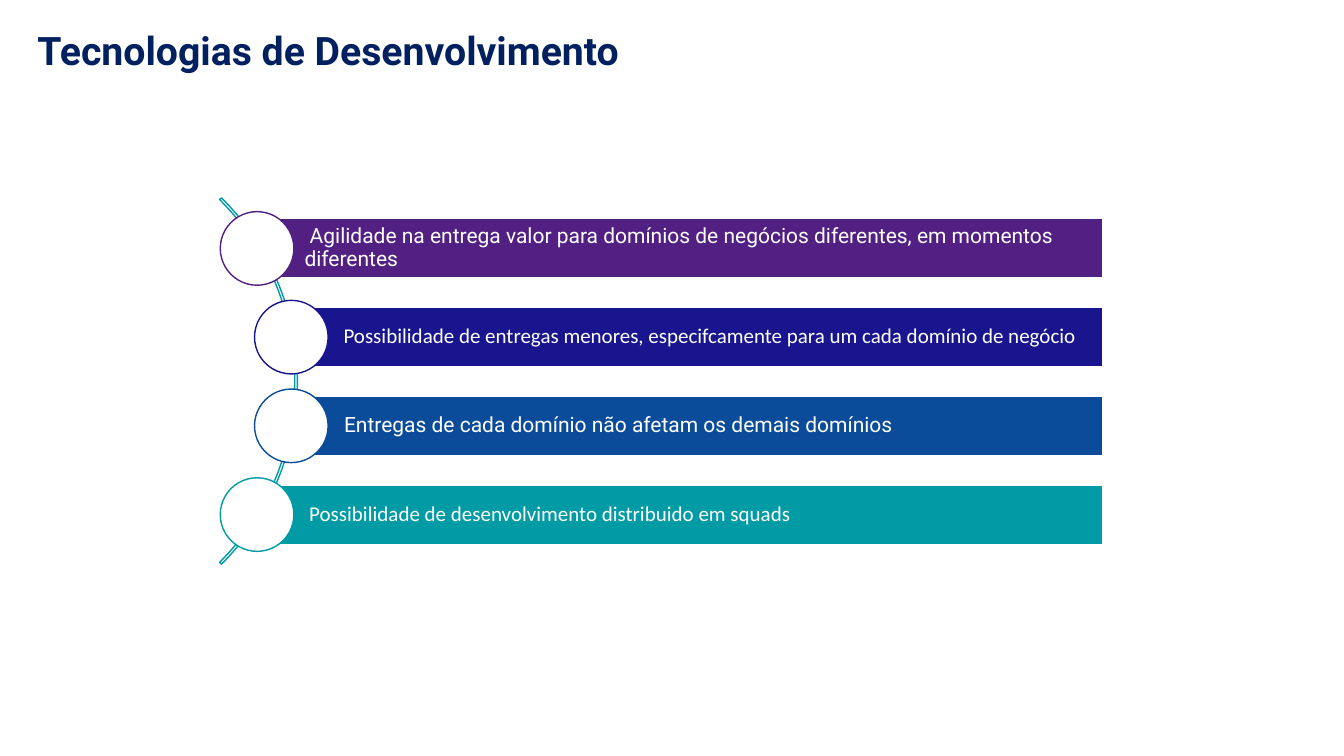
"""Builds a slide with a title and four benefits along an arc."""
from pptx import Presentation
from pptx.dml import color
from pptx.enum import shapes, text
from pptx.util import Inches, Pt

BENEFITS = [
    (" Agilidade na entrega valor para domínios de negócios diferentes, em momentos diferentes",
     "521F83", "Roboto", 0),
    (" Possibilidade de entregas menores, especifcamente para um cada domínio de negócio",
     "18158E", "Calibri", 0.34),
    (" Entregas de cada domínio não afetam os demais domínios",
     "0A4C99", "Roboto", 0.34),
    (" Possibilidade de desenvolvimento distribuido em squads",
     "009BA4", "Calibri", 0),
]


def rgb(value):
    """Return the colour for a hex string."""
    return color.RGBColor.from_string(value)


def add_span(para, wording, font, size, ink, bold=False):
    """Add one formatted run to a paragraph."""
    para.alignment = text.PP_ALIGN.LEFT
    para.line_spacing = 0.9
    span = para.add_run()
    span.text = wording
    span.font.name = font
    span.font.size = Pt(size)
    span.font.bold = bold
    span.font.color.rgb = rgb(ink)


def add_outlined(group, kind, left, top, width, height, fill, line):
    """Add a preset shape with a thin line and an optional fill."""
    shape = group.shapes.add_shape(
        kind, Inches(left), Inches(top), Inches(width), Inches(height))
    shape.shadow.inherit = False
    if fill:
        shape.fill.solid()
        shape.fill.fore_color.rgb = rgb(fill)
    else:
        shape.fill.background()
    shape.line.color.rgb = rgb(line)
    shape.line.width = Pt(1)
    return shape


def add_title(page, left, top, width, height):
    """Place and fill the title placeholder."""
    title = page.shapes.title
    title.left, title.top = Inches(left), Inches(top)
    title.width, title.height = Inches(width), Inches(height)
    frame = title.text_frame
    frame.auto_size = text.MSO_AUTO_SIZE.NONE
    frame.vertical_anchor = text.MSO_ANCHOR.TOP
    add_span(frame.paragraphs[0], "Tecnologias de Desenvolvimento",
             "Roboto", 28, "002060", True)


def add_arc(group, left, top, size):
    """Draw the thin arc that links the circles."""
    arc = add_outlined(group, shapes.MSO_SHAPE.BLOCK_ARC,
                       left, top, size, size, None, "009BA4")
    for index, value in enumerate((189, 27, 0.005)):
        arc.adjustments[index] = value


def add_benefit(group, left, top, width, wording, tint, font):
    """Draw a labelled bar with a circle over its left end."""
    bar_height, circle_size = 0.59, 0.73
    bar = add_outlined(group, shapes.MSO_SHAPE.RECTANGLE,
                       left, top, width, bar_height, tint, "FFFFFF")
    frame = bar.text_frame
    frame.word_wrap = True
    frame.vertical_anchor = text.MSO_ANCHOR.MIDDLE
    frame.margin_left = Inches(0.47)
    frame.margin_top = frame.margin_right = frame.margin_bottom = Inches(0.04)
    add_span(frame.paragraphs[0], wording, font, 15, "FFFFFF")
    add_outlined(group, shapes.MSO_SHAPE.OVAL, left - circle_size / 2,
                 top + (bar_height - circle_size) / 2,
                 circle_size, circle_size, "FFFFFF", tint)


def add_benefit_list(page, left, top, width, pitch):
    """Place the arc and the evenly spaced benefits in one group."""
    group = page.shapes.add_group_shape()
    add_arc(group, left - 4.74, top - 0.96, 5.14)
    for row, (wording, tint, font, indent) in enumerate(BENEFITS):
        add_benefit(group, left + indent, top + row * pitch,
                    width - indent, wording, tint, font)


def main():
    """Build and save the deck."""
    deck = Presentation()
    deck.slide_width, deck.slide_height = Inches(13.33), Inches(7.5)
    page = deck.slides.add_slide(deck.slide_layouts[5])
    add_title(page, 0.27, 0.26, 12.8, 0.8)
    add_benefit_list(page, 2.55, 2.17, 8.39, 0.88)
    deck.save("out.pptx")


if __name__ == "__main__":
    main()
